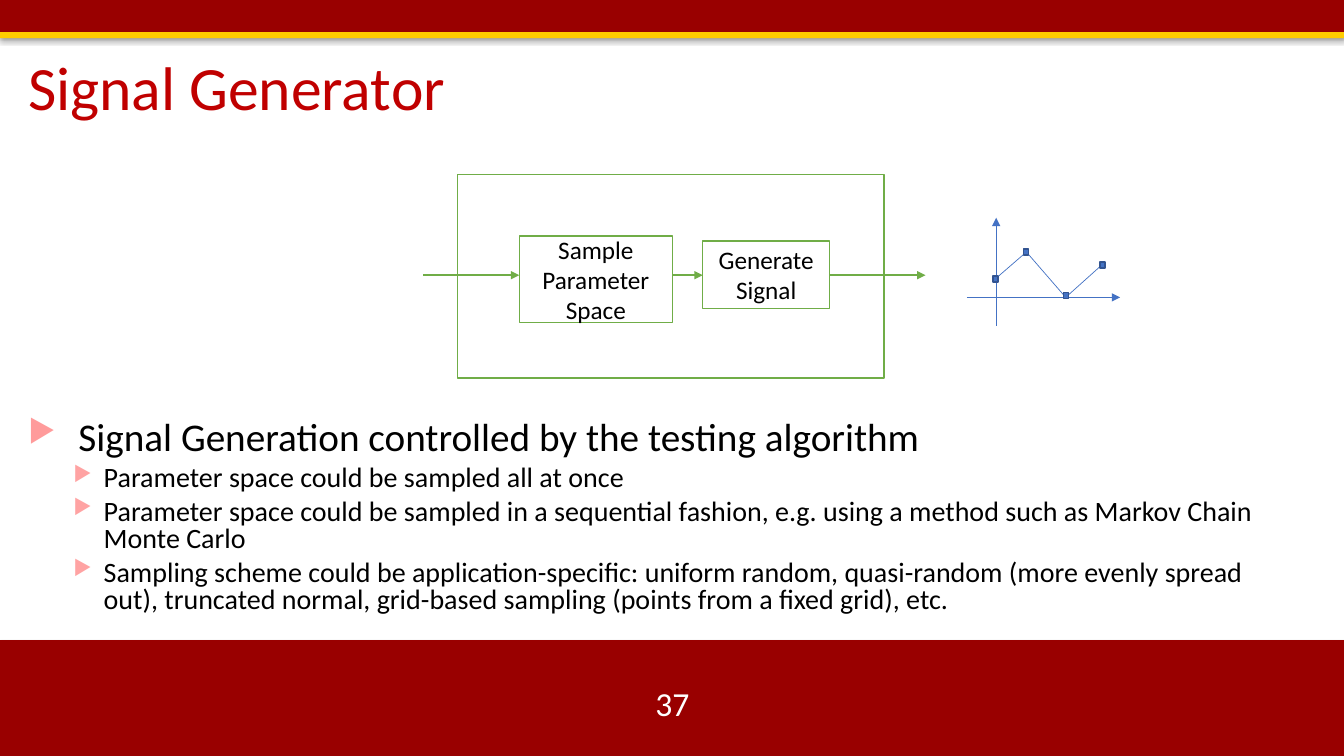
"""Build the Signal Generator slide: block diagram, sample plot and notes."""
from pptx import Presentation, oxml, util as u
from pptx.dml.color import RGBColor
from pptx.enum import shapes, text
from pptx.oxml.ns import qn

INK = {"red": "990000", "gold": "FFCC00", "title": "C00000", "black": "000000",
       "white": "FFFFFF", "green": "70AD47", "blue": "4472C4", "navy": "325491",
       "pink": "FF9B9B", "rose": "FFA3A3"}
NS = 'xmlns:a="http://schemas.openxmlformats.org/drawingml/2006/main"'

deck = Presentation()
deck.slide_width, deck.slide_height = u.Inches(13.33), u.Inches(7.5)
slide = deck.slides.add_slide(deck.slide_layouts[6])
tree = slide.shapes


def box(spot, fill=None, line=None):
    """Add a rectangle, or a text box when there is no fill."""
    area = [u.Inches(n) for n in spot]
    if fill is None:
        item = tree.add_textbox(*area)
    else:
        item = tree.add_shape(shapes.MSO_SHAPE.RECTANGLE, *area)
        item.shadow.inherit = False
        item.fill.solid()
        item.fill.fore_color.rgb = RGBColor.from_string(INK[fill])
        if line:
            item.line.color.rgb = RGBColor.from_string(INK[line])
            item.line.width = u.Pt(1)
        else:
            item.line.fill.background()
    item.text_frame.word_wrap = True
    return item


def say(par, words, size, ink):
    """Add one run of text to a paragraph."""
    run = par.add_run()
    run.text = words
    run.font.size = u.Pt(size)
    run.font.name = "Calibri"
    run.font.color.rgb = RGBColor.from_string(INK[ink])


bars = [((0, 6.35, 13.33, 1.15), "red", 35), ((0, 0, 13.33, 0.33), "red", 35),
        ((0, 0.32, 13.33, 0.06), "gold", 38)]
for spot, fill, alpha in bars:
    bar = box(spot, fill)
    glow = bar._element.spPr.find(qn("a:effectLst"))
    glow.append(oxml.parse_xml(
        f'<a:outerShdw {NS} blurRad="39400" dist="22900" dir="5400000" rotWithShape="0">'
        f'<a:srgbClr val="000000"><a:alpha val="{alpha}000"/></a:srgbClr></a:outerShdw>'))

title = box((0.18, 0.47, 11.94, 0.85)).text_frame
title.vertical_anchor = text.MSO_ANCHOR.MIDDLE
title.paragraphs[0].line_spacing = 0.9
say(title.paragraphs[0], "Signal Generator", 44, "title")

notes = [
    (0, "Signal Generation controlled by the testing algorithm"),
    (1, "Parameter space could be sampled all at once"),
    (1, "Parameter space could be sampled in a sequential fashion, e.g. using a method "
        "such as Markov Chain Monte Carlo"),
    (1, "Sampling scheme could be application-specific: uniform random, quasi-random "
        "(more evenly spread out), truncated normal, grid-based sampling (points from a "
        "fixed grid), etc."),
]
looks = [(0.5, -0.5, "pink", 80, 28), (0.75, -0.3, "rose", 75, 20)]
body = box((0.18, 4.13, 12.79, 2.08)).text_frame
for spot, (level, words) in enumerate(notes):
    left, hang, ink, scale, size = looks[level]
    par = body.add_paragraph() if spot else body.paragraphs[0]
    par.level = level
    par.line_spacing = 0.8
    if spot:
        par.space_before = u.Pt(5)
    props = par._p.get_or_add_pPr()
    props.set("marL", str(u.Inches(left)))
    props.set("indent", str(u.Inches(hang)))
    for mark in (f'<a:buClr {NS}><a:srgbClr val="{INK[ink]}"/></a:buClr>',
                 f'<a:buSzPct {NS} val="{scale}000"/>',
                 f'<a:buChar {NS} char="▶"/>'):
        props.append(oxml.parse_xml(mark))
    say(par, words, size, "black")

box((4.54, 1.73, 4.23, 2.02), "white", "green")
labels = [((5.15, 2.34, 1.52, 0.86), "white", "green", "Sample Parameter Space", 18, "black"),
          ((6.97, 2.39, 1.26, 0.67), "white", "green", "Generate Signal", 18, "black"),
          ((5.17, 6.78, 3, 0.4), None, None, "37", 24, "white")]
for spot, fill, line, words, size, ink in labels:
    frame = box(spot, fill, line).text_frame
    frame.vertical_anchor = text.MSO_ANCHOR.MIDDLE
    frame.paragraphs[0].alignment = text.PP_ALIGN.CENTER
    say(frame.paragraphs[0], words, size, ink)

flow = [((a, 2.73), (b, 2.73), "green", 1.5, True)
        for a, b in [(4.2, 5.15), (6.67, 6.97), (8.23, 9.18)]]
axes = [((9.88, 3.23), (9.88, 2.16), "blue", 0.5, True),
        ((9.59, 2.95), (11.11, 2.95), "blue", 0.5, True)]
dots = [(9.88, 2.76), (10.18, 2.5), (10.57, 2.95), (10.96, 2.6)]
trace = [(a, b, "blue", 0.5, False) for a, b in zip(dots, dots[1:])]
for start, end, ink, width, arrow in flow + axes + trace:
    ends = [u.Inches(n) for n in start + end]
    wire = tree.add_connector(shapes.MSO_CONNECTOR.STRAIGHT, *ends)
    wire.line.color.rgb = RGBColor.from_string(INK[ink])
    wire.line.width = u.Pt(width)
    if arrow:
        wire.line._get_or_add_ln().append(oxml.parse_xml(f'<a:tailEnd {NS} type="triangle"/>'))
    wire._element.spPr.append(oxml.parse_xml(f"<a:effectLst {NS}/>"))

for spot in [(9.85, 2.74), (10.15, 2.47), (10.55, 2.9), (10.91, 2.6)]:
    box(spot + (0.05, 0.06), "blue", "navy")

deck.save("out.pptx")
